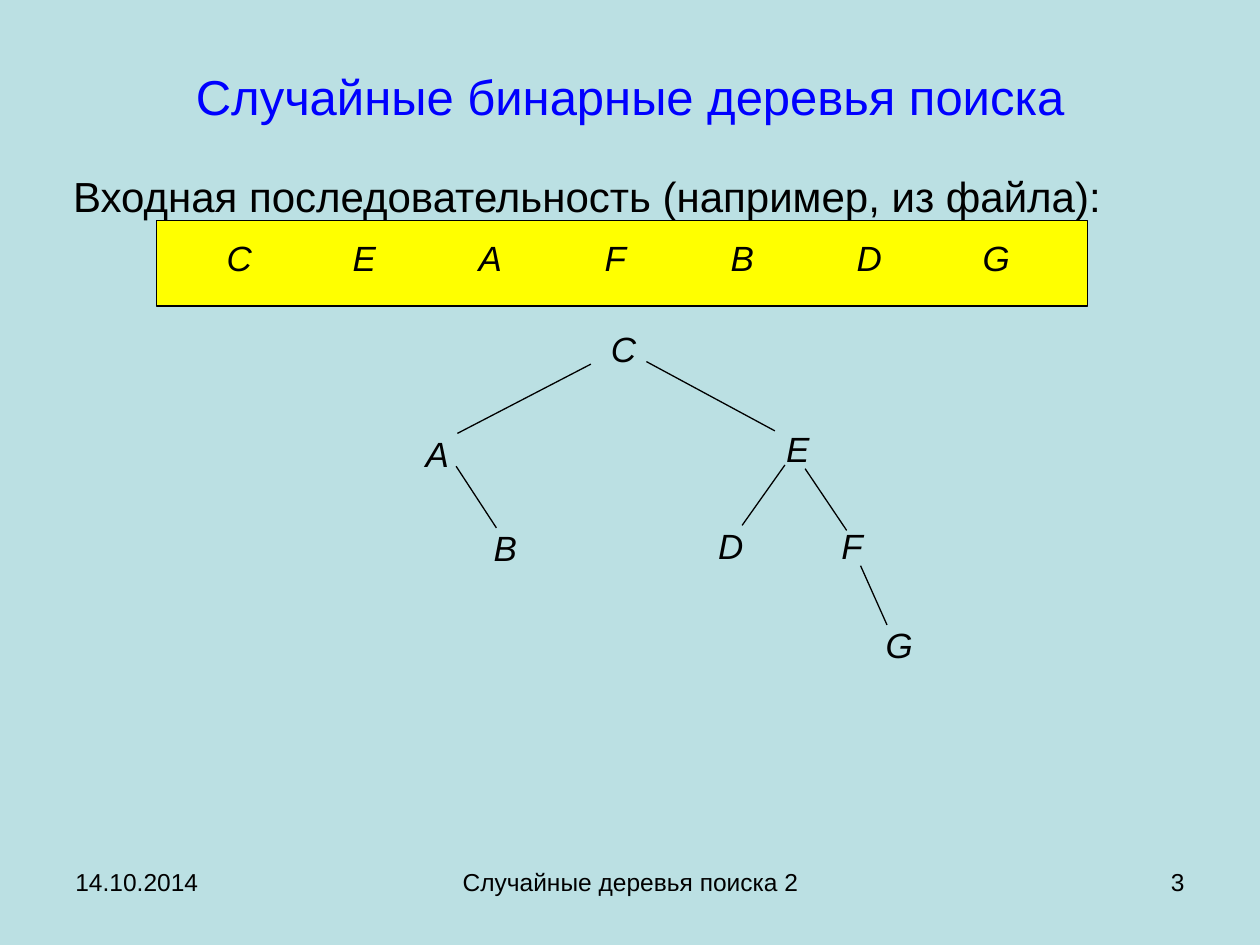
from lxml.etree import SubElement
from pptx import Presentation
from pptx.dml.color import RGBColor
from pptx.enum.shapes import MSO_CONNECTOR as Connector, MSO_SHAPE as Shape
from pptx.enum.text import MSO_ANCHOR as Anchor, MSO_AUTO_SIZE as AutoSize, PP_ALIGN as Align
from pptx.oxml.ns import qn
from pptx.util import Inches, Pt

BACKGROUND = RGBColor(0xBB, 0xE0, 0xE3)
BLUE = RGBColor(0x00, 0x00, 0xFF)
BLACK = RGBColor(0x00, 0x00, 0x00)
YELLOW = RGBColor(0xFF, 0xFF, 0x00)

COLUMNS, ROWS = 10, 7.5
LETTER_SIZE = (0.45, 0.44)
SEQUENCE = "СEAFBDG"
SEQUENCE_START = (1.7, 1.83)

TREE = {
    "С": (4.75, 2.55),
    "A": (3.28, 3.38),
    "E": (6.14, 3.34),
    "B": (3.82, 4.13),
    "D": (5.6, 4.11),
    "F": (6.58, 4.11),
    "G": (6.93, 4.9),
}
BRANCHES = [
    ((4.69, 2.89), (3.63, 3.44)),
    ((5.13, 2.87), (6.15, 3.42)),
    ((3.62, 3.7), (3.94, 4.19)),
    ((6.23, 3.69), (5.89, 4.17)),
    ((6.39, 3.72), (6.72, 4.21)),
    ((6.83, 4.49), (7.04, 4.96)),
]
FOOTERS = [
    ("14.10.2014", 0.5, 2.33, Align.LEFT),
    ("Случайные деревья поиска 2", 3.42, 3.17, Align.CENTER),
    ("3", 7.17, 2.33, Align.RIGHT),
]


class TreeSlide:
    font = "Arial"
    line_width = Pt(0.75)

    def __init__(self, deck):
        self.column = deck.slide_width / COLUMNS
        self.row = deck.slide_height / ROWS
        self.slide = deck.slides.add_slide(deck.slide_layouts[1])
        fill = self.slide.background.fill
        fill.solid()
        fill.fore_color.rgb = BACKGROUND

    def place(self, *lengths):
        units = (self.column, self.row) * 2
        return [round(length * unit) for length, unit in zip(lengths, units)]

    def set_text(self, frame, text, size, color=BLACK, align=Align.LEFT, italic=False):
        frame.word_wrap = True
        paragraph = frame.paragraphs[0]
        paragraph.alignment = align
        run = paragraph.add_run()
        run.text = text
        run.font.name = self.font
        run.font.size = Pt(size)
        run.font.italic = italic
        run.font.color.rgb = color
        return paragraph

    def fill_placeholder(self, holder, area, anchor, text, size, color, align):
        holder.left, holder.top, holder.width, holder.height = self.place(*area)
        frame = holder.text_frame
        frame.auto_size = AutoSize.NONE
        frame.vertical_anchor = anchor
        return self.set_text(frame, text, size, color, align)

    def title(self, text, area):
        self.fill_placeholder(self.slide.shapes.title, area, Anchor.MIDDLE,
                              text, 28, BLUE, Align.CENTER)

    def body(self, text, area):
        paragraph = self.fill_placeholder(self.slide.placeholders[1], area, Anchor.TOP,
                                          text, 24, BLACK, Align.LEFT)
        paragraph.space_before = Pt(6)
        properties = paragraph._p.get_or_add_pPr()
        properties.set("marL", str(Inches(0.38)))
        properties.set("indent", str(Inches(-0.38)))
        SubElement(properties, qn("a:buNone"))

    def bar(self, area):
        bar = self.slide.shapes.add_shape(Shape.RECTANGLE, *self.place(*area))
        bar.shadow.inherit = False
        bar.fill.solid()
        bar.fill.fore_color.rgb = YELLOW
        bar.line.color.rgb = BLACK
        bar.line.width = self.line_width

    def label(self, text, area, size, align=Align.LEFT, italic=False):
        box = self.slide.shapes.add_textbox(*self.place(*area))
        self.set_text(box.text_frame, text, size, align=align, italic=italic)
        return box.text_frame

    def letter(self, text, corner):
        frame = self.label(text, corner + LETTER_SIZE, 20, italic=True)
        frame.auto_size = AutoSize.SHAPE_TO_FIT_TEXT

    def branch(self, parent, child):
        branch = self.slide.shapes.add_connector(Connector.STRAIGHT,
                                                 *self.place(*parent, *child))
        branch.line.color.rgb = BLACK
        branch.line.width = self.line_width
        SubElement(branch._element.spPr, qn("a:effectLst"))


def main():
    deck = Presentation()
    deck.slide_width, deck.slide_height = Inches(10), Inches(7.5)
    page = TreeSlide(deck)
    page.title("Случайные бинарные деревья поиска", (0.5, 0.3, 9, 0.93))
    page.body("Входная последовательность (например, из файла):", (0.48, 1.3, 8.96, 0.56))
    page.bar((1.24, 1.75, 7.39, 0.68))

    left, top = SEQUENCE_START
    for index, key in enumerate(SEQUENCE):
        page.letter(key, (left + index, top))
    for key, corner in TREE.items():
        page.letter(key, corner)
    for parent, child in BRANCHES:
        page.branch(parent, child)
    for text, start, width, align in FOOTERS:
        page.label(text, (start, 6.83, width, 0.52), 14, align)

    deck.save("out.pptx")


if __name__ == "__main__":
    main()
